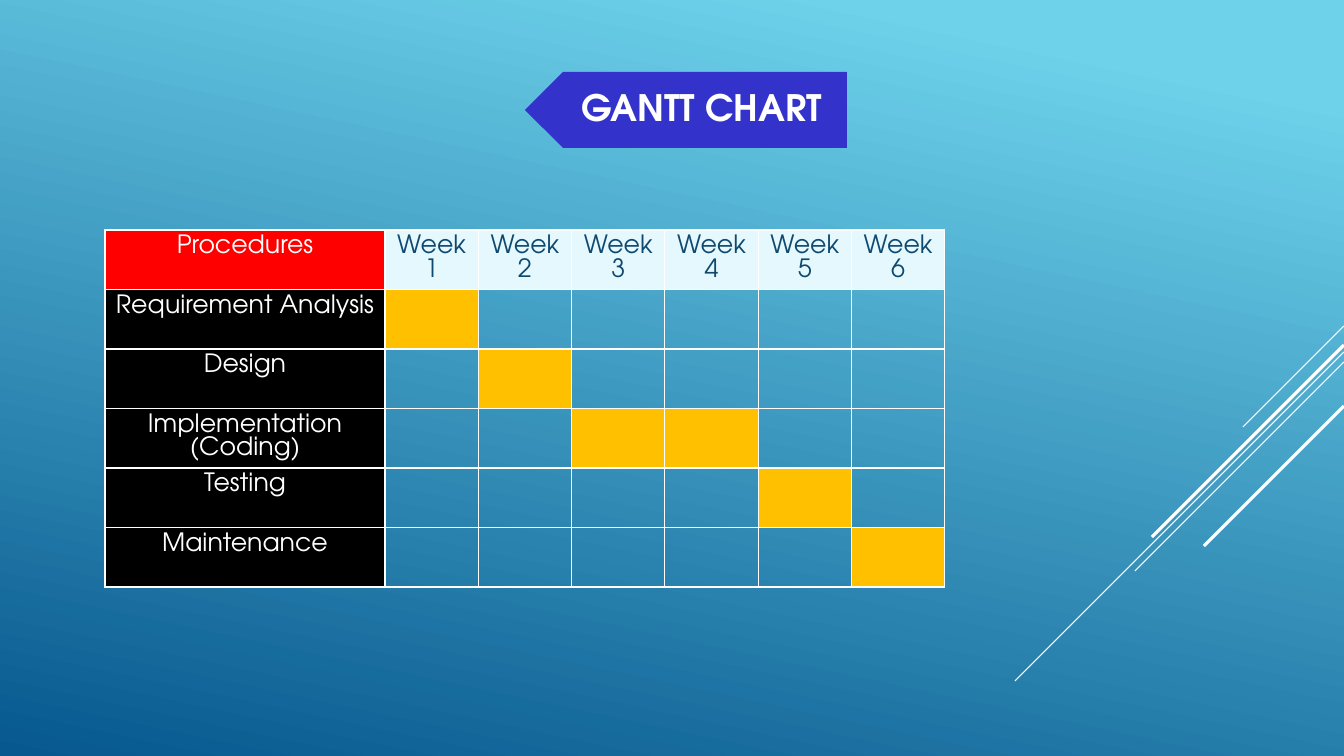
from lxml import etree
from pptx import Presentation
from pptx.dml.color import RGBColor
from pptx.enum.shapes import MSO_CONNECTOR, MSO_SHAPE
from pptx.enum.text import MSO_ANCHOR, PP_ALIGN
from pptx.oxml.ns import qn
from pptx.util import Pt

EMU_PER_PX = 914400 / 100.8
SLIDE_WIDTH, SLIDE_HEIGHT = 1344, 756
STRAIGHT = MSO_CONNECTOR.STRAIGHT
PENTAGON = MSO_SHAPE.PENTAGON
MIDDLE = MSO_ANCHOR.MIDDLE
CENTER = PP_ALIGN.CENTER
FONT = "TeX Gyre Adventor"

WHITE = RGBColor(0xFF, 0xFF, 0xFF)
BLACK = RGBColor(0x00, 0x00, 0x00)
RED = RGBColor(0xFF, 0x00, 0x00)
AMBER = RGBColor(0xFF, 0xC0, 0x00)
ICE = RGBColor(0xE4, 0xF8, 0xFD)
NAVY = RGBColor(0x0F, 0x49, 0x6F)
INDIGO = RGBColor(0x33, 0x33, 0xCC)
SKY = RGBColor(0x6E, 0xD2, 0xEB)
DEEP_BLUE = RGBColor(0x06, 0x58, 0x8E)

WEEK_COUNT = 6
PROCEDURE_WEEKS = {
    "Requirement Analysis": [1],
    "Design": [2],
    "Implementation (Coding)": [3, 4],
    "Testing": [5],
    "Maintenance": [6],
}
# Start height on the right edge, run to the left, weight in points
DIAGONALS = [(326, 101, 0.75), (352, 329, 0.75), (362, 209, 0.75),
             (345, 192, 2.25), (406, 140, 2.25)]


def px(length):
    return round(length * EMU_PER_PX)


def set_values(target, values):
    for name, value in values.items():
        setattr(target, name, value)


def write_text(text_frame, text, size, color, bold=False):
    paragraph = text_frame.paragraphs[0]
    paragraph.alignment = CENTER
    run = paragraph.add_run()
    run.text = text
    set_values(run.font, {"name": FONT, "size": Pt(size), "bold": bold})
    run.font.color.rgb = color
    return paragraph


def paint_background(slide):
    fill = slide.background.fill
    fill.gradient()
    fill.gradient_angle = 258
    for stop, position, color in zip(fill.gradient_stops, (0.1, 1), (SKY, DEEP_BLUE)):
        stop.position = position
        stop.color.rgb = color


def add_diagonals(slide, right):
    for top, run, weight in DIAGONALS:
        line = slide.shapes.add_connector(
            STRAIGHT, px(right), px(top), px(right - run), px(top + run))
        line.line.color.rgb = WHITE
        line.line.width = Pt(weight)
        etree.SubElement(line._element.spPr, qn("a:effectLst"))


def add_title(slide, left, top, width, height):
    banner = slide.shapes.add_shape(PENTAGON, px(left), px(top), px(width), px(height))
    banner.rotation = 180
    banner.shadow.inherit = False
    banner.fill.solid()
    banner.fill.fore_color.rgb = INDIGO
    banner.line.fill.background()

    indent = 19
    label = slide.shapes.add_textbox(
        px(left + indent), px(top), px(width - indent), px(height))
    set_values(label.text_frame, {
        "word_wrap": True, "vertical_anchor": MIDDLE,
        "margin_left": px(33), "margin_right": px(20),
        "margin_top": px(11), "margin_bottom": px(11)})
    paragraph = write_text(label.text_frame, "GANTT CHART", 26, WHITE, bold=True)
    paragraph.line_spacing = 0.9


def add_borders(cell):
    properties = cell._tc.get_or_add_tcPr()
    for index, side in enumerate(("lnL", "lnR", "lnT", "lnB")):
        border = etree.Element(qn(f"a:{side}"), w=str(Pt(1)))
        fill = etree.SubElement(border, qn("a:solidFill"))
        etree.SubElement(fill, qn("a:srgbClr"), val=str(WHITE))
        properties.insert(index, border)


def format_cell(cell, fill_color=None, text="", text_color=WHITE):
    if fill_color is None:
        cell.fill.background()
    else:
        cell.fill.solid()
        cell.fill.fore_color.rgb = fill_color
    if text:
        write_text(cell.text_frame, text, 18, text_color)
    add_borders(cell)


def add_gantt_table(slide, left, top, width, height):
    row_count = len(PROCEDURE_WEEKS) + 1
    table = slide.shapes.add_table(
        row_count, WEEK_COUNT + 1, px(left), px(top), px(width), px(height)).table
    set_values(table, {"first_row": False, "horz_banding": False})
    name_width = width // 3
    for index, column in enumerate(table.columns):
        column.width = px((width - name_width) / WEEK_COUNT if index else name_width)
    for row in table.rows:
        row.height = px(height / row_count)

    weeks = range(1, WEEK_COUNT + 1)
    format_cell(table.cell(0, 0), RED, "Procedures")
    for week in weeks:
        format_cell(table.cell(0, week), ICE, f"Week {week}", NAVY)
    for row, (procedure, active_weeks) in enumerate(PROCEDURE_WEEKS.items(), 1):
        format_cell(table.cell(row, 0), BLACK, procedure)
        for week in weeks:
            format_cell(table.cell(row, week), AMBER if week in active_weeks else None)


def main():
    presentation = Presentation()
    set_values(presentation, {
        "slide_width": px(SLIDE_WIDTH), "slide_height": px(SLIDE_HEIGHT)})
    slide = presentation.slides.add_slide(presentation.slide_layouts[6])
    paint_background(slide)
    add_diagonals(slide, SLIDE_WIDTH)
    add_gantt_table(slide, 105, 230, 840, 357)
    add_title(slide, 525, 72, 322, 76)
    presentation.save("out.pptx")


if __name__ == "__main__":
    main()
